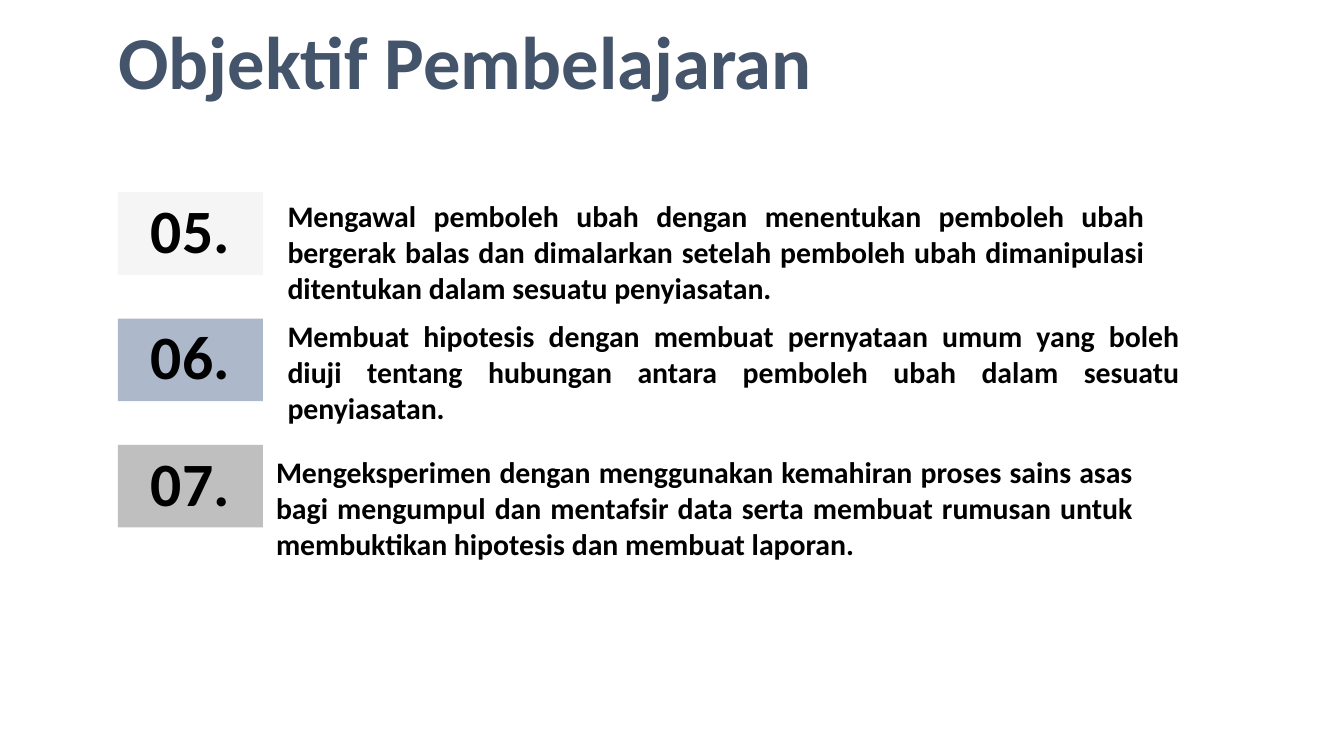
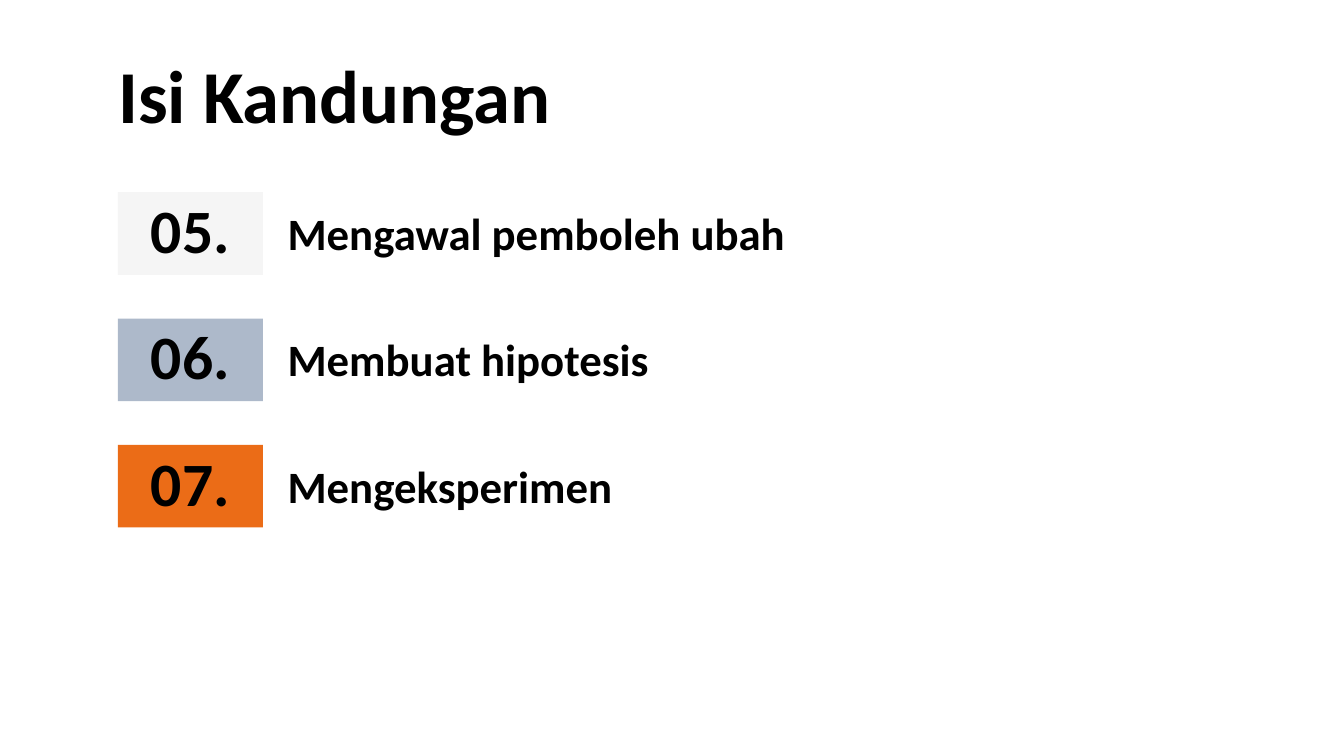
from dataclasses import dataclass

from pptx import Presentation
from pptx.dml.color import RGBColor
from pptx.enum.shapes import MSO_SHAPE
from pptx.enum.text import MSO_ANCHOR, PP_ALIGN as Align
from pptx.shapes.autoshape import Shape
from pptx.slide import Slide
from pptx.util import Pt

COLORS = {
    "ink": "000000",
    "slate": "44546A",
    "pale": "F5F5F5",
    "blue": "ADB9CA",
    "grey": "BFBFBF",
    "orange": "EB6C17",
}
FONT = "Calibri"
INSET = 9.6
TITLE_LEFT, TITLE_WIDTH, TITLE_HEIGHT = 75, 810, 67.5
TAG_LEFT, TAG_TOP, TAG_WIDTH, TAG_HEIGHT = 84.2, 137.3, 103.7, 59
ROW_STEP = 90.2
TEXT_LEFT = 195.8
FIRST_NUMBER = 5


@dataclass(frozen=True)
class Item:
    text: str
    tag_color: str
    width: float
    height: float = TAG_HEIGHT
    shift_x: float = 0
    shift_y: float = 0


@dataclass(frozen=True)
class Page:
    title: str
    title_top: float
    title_color: str
    text_size: float
    text_align: Align
    items: tuple[Item, ...]


PAGES = (
    Page("Objektif Pembelajaran", 8, "slate", 21.3, Align.JUSTIFY, (
        Item("Mengawal pemboleh ubah dengan menentukan pemboleh ubah bergerak balas "
             "dan dimalarkan setelah pemboleh ubah dimanipulasi ditentukan dalam "
             "sesuatu penyiasatan.", "pale", 631.4, 82.8, shift_y=-5.6),
        Item("Membuat hipotesis dengan membuat pernyataan umum yang boleh diuji "
             "tentang hubungan antara pemboleh ubah dalam sesuatu penyiasatan.",
             "blue", 656.6, shift_y=-10),
        Item("Mengeksperimen dengan menggunakan kemahiran proses sains asas bagi "
             "mengumpul dan mentafsir data serta membuat rumusan untuk membuktikan "
             "hipotesis dan membuat laporan.", "grey", 631.4, 104.4,
             shift_x=-8.2, shift_y=-3),
    )),
    Page("Isi Kandungan", 32.4, "ink", 32, Align.LEFT, (
        Item("Mengawal pemboleh ubah", "pale", 569.5),
        Item("Membuat hipotesis", "blue", 697),
        Item("Mengeksperimen", "orange", 442.8, 84.2),
    )),
)


def rgb(name: str) -> RGBColor:
    return RGBColor.from_string(COLORS[name])


def write(box: Shape, text: str, size: float, color: str = "ink",
          align: Align = Align.LEFT, spacing: float = 1.0,
          anchor: MSO_ANCHOR = MSO_ANCHOR.TOP) -> None:
    frame = box.text_frame
    frame.word_wrap = True
    frame.vertical_anchor = anchor
    frame.margin_left = frame.margin_right = Pt(INSET)
    frame.margin_top = frame.margin_bottom = Pt(INSET)
    para = frame.paragraphs[0]
    para.text = text
    para.alignment = align
    para.line_spacing = spacing
    para.font.name = FONT
    para.font.size = Pt(size)
    para.font.bold = True
    para.font.color.rgb = rgb(color)


def add_title(slide: Slide, page: Page) -> None:
    box = slide.shapes.add_textbox(
        Pt(TITLE_LEFT), Pt(page.title_top), Pt(TITLE_WIDTH), Pt(TITLE_HEIGHT))
    write(box, page.title, 53.3, page.title_color, spacing=0.9)


def add_item(slide: Slide, page: Page, row: int, item: Item) -> None:
    top = TAG_TOP + row * ROW_STEP
    tag = slide.shapes.add_shape(
        MSO_SHAPE.RECTANGLE, Pt(TAG_LEFT), Pt(top), Pt(TAG_WIDTH), Pt(TAG_HEIGHT))
    tag.shadow.inherit = False
    tag.fill.solid()
    tag.fill.fore_color.rgb = rgb(item.tag_color)
    tag.line.fill.background()
    write(tag, f"{FIRST_NUMBER + row:02d}.", 44, align=Align.CENTER,
          spacing=0.9, anchor=MSO_ANCHOR.MIDDLE)
    box = slide.shapes.add_textbox(
        Pt(TEXT_LEFT + item.shift_x), Pt(top + item.shift_y),
        Pt(item.width), Pt(item.height))
    write(box, item.text, page.text_size, align=page.text_align)


def main() -> None:
    deck = Presentation()
    deck.slide_width, deck.slide_height = Pt(960), Pt(540)
    blank = deck.slide_layouts[6]
    for page in PAGES:
        slide = deck.slides.add_slide(blank)
        add_title(slide, page)
        for row, item in enumerate(page.items):
            add_item(slide, page, row, item)
    deck.save("out.pptx")


if __name__ == "__main__":
    main()
